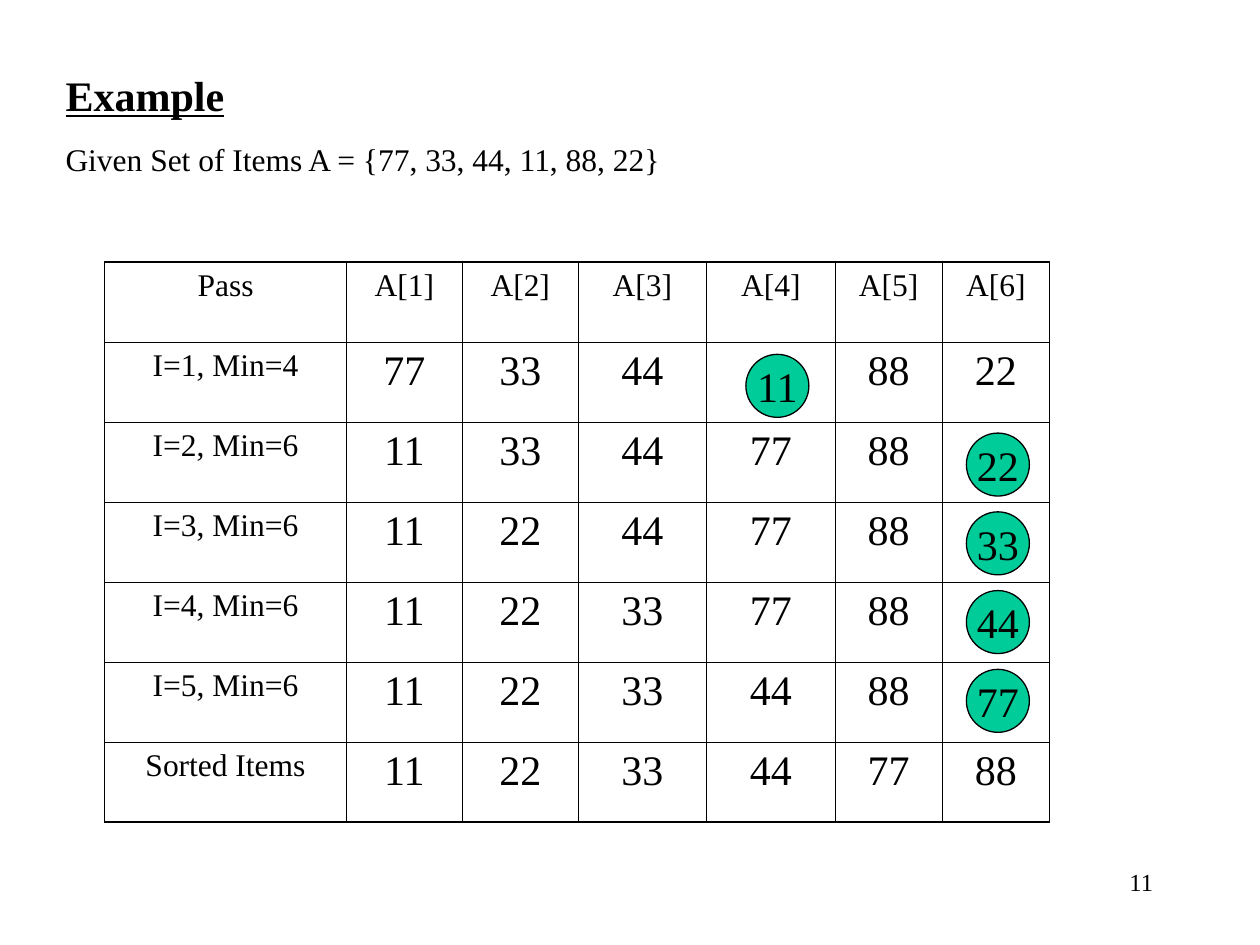
from dataclasses import dataclass

from lxml import etree
from pptx import Presentation, util as u
from pptx.dml.color import RGBColor
from pptx.enum import shapes, text
from pptx.oxml.ns import qn


@dataclass(frozen=True)
class Theme:
    font: str = "Times New Roman"
    ink: RGBColor = RGBColor(0, 0, 0)
    marker: RGBColor = RGBColor(0x00, 0xCC, 0x99)
    large: float = 24
    medium: float = 18
    small: float = 14
    inner_rule: float = 0.45
    outer_rule: float = 1.08
    marker_line: float = 0.75


@dataclass(frozen=True)
class SortPass:
    label: str
    items: tuple[int, ...]
    minimum: int | None = None  # index of the item that is circled


THEME = Theme()
WIDTH, HEIGHT = u.Inches(10), u.Inches(7.5)
HEADINGS = ["Pass"] + [f"A[{i}]" for i in range(1, 7)]
PASSES = [
    SortPass("I=1, Min=4", (77, 33, 44, 11, 88, 22), 3),
    SortPass("I=2, Min=6", (11, 33, 44, 77, 88, 22), 5),
    SortPass("I=3, Min=6", (11, 22, 44, 77, 88, 33), 5),
    SortPass("I=4, Min=6", (11, 22, 33, 77, 88, 44), 5),
    SortPass("I=5, Min=6", (11, 22, 33, 44, 88, 77), 5),
    SortPass("Sorted Items", (11, 22, 33, 44, 77, 88)),
]
COLUMN_WIDTHS = (1.92, 0.92, 0.92, 1.02, 1.02, 0.85, 0.85)
ROW_HEIGHT = 0.635
MARKER_SIZE = 0.5
MARKER_LEFT = {3: 0.592, 5: 0.767}  # share of slide width, by item index
MARKER_TOP, MARKER_STEP = 0.375, 1 / 12  # shares of slide height


def box(left: float, top: float, width: float, height: float) -> tuple[int, ...]:
    """Turn shares of the slide's size into lengths."""
    return (int(WIDTH * left), int(HEIGHT * top), int(WIDTH * width), int(HEIGHT * height))


def write(paragraph, wording: str, size: float, align=text.PP_ALIGN.CENTER,
          bold: bool = False, underline: bool = False) -> None:
    paragraph.alignment = align
    run = paragraph.add_run()
    run.text = wording
    run.font.name, run.font.size = THEME.font, u.Pt(size)
    run.font.bold, run.font.underline = bold, underline
    run.font.color.rgb = THEME.ink


def add_heading(slide) -> None:
    title = slide.shapes.title
    title.left, title.top, title.width, title.height = box(0.042, 0.067, 0.767, 0.128)
    frame = title.text_frame
    frame.auto_size = text.MSO_AUTO_SIZE.NONE
    frame.vertical_anchor = text.MSO_ANCHOR.TOP
    left = text.PP_ALIGN.LEFT
    write(frame.paragraphs[0], "Example", THEME.large, left, bold=True, underline=True)
    given = frame.add_paragraph()
    given.space_before = u.Pt(11.2)
    items = ", ".join(str(item) for item in PASSES[0].items)
    write(given, f"Given Set of Items A = {{{items}}}", THEME.medium, left)


def rule_cell(cell, outer_sides: dict[str, bool]) -> None:
    """Clear the cell's fill and draw its borders, heavier on the table's edge."""
    cell.fill.background()
    properties = cell._tc.get_or_add_tcPr()
    for position, (side, is_outer) in enumerate(outer_sides.items()):
        width = THEME.outer_rule if is_outer else THEME.inner_rule
        line = etree.Element(qn(f"a:{side}"), w=str(int(u.Pt(width))))
        fill = etree.SubElement(line, qn("a:solidFill"))
        etree.SubElement(fill, qn("a:srgbClr"), val=str(THEME.ink))
        properties.insert(position, line)


def add_pass_table(slide) -> None:
    rows = [HEADINGS] + [
        [entry.label] + ["" if i == entry.minimum else str(item)
                         for i, item in enumerate(entry.items)]
        for entry in PASSES
    ]
    last_row, last_column = len(rows) - 1, len(HEADINGS) - 1
    table = slide.shapes.add_table(
        len(rows), len(HEADINGS), u.Inches(0.83), u.Inches(2.08),
        u.Inches(sum(COLUMN_WIDTHS)), u.Inches(ROW_HEIGHT * len(rows))).table
    table.first_row = table.horz_banding = False
    for column, width in zip(table.columns, COLUMN_WIDTHS):
        column.width = u.Inches(width)
    for r, row in enumerate(rows):
        table.rows[r].height = u.Inches(ROW_HEIGHT)
        for c, wording in enumerate(row):
            cell = table.cell(r, c)
            rule_cell(cell, {"lnL": c == 0, "lnR": c == last_column,
                             "lnT": r == 0, "lnB": r == last_row})
            if wording:
                size = THEME.medium if r == 0 or c == 0 else THEME.large
                write(cell.text_frame.paragraphs[0], wording, size)


def add_minimum_marker(slide, row: int, entry: SortPass) -> None:
    left, top, _, _ = box(MARKER_LEFT[entry.minimum], MARKER_TOP + row * MARKER_STEP, 0, 0)
    size = u.Inches(MARKER_SIZE)
    marker = slide.shapes.add_shape(shapes.MSO_SHAPE.OVAL, left, top, size, size)
    marker.shadow.inherit = False
    marker.fill.solid()
    marker.fill.fore_color.rgb = THEME.marker
    marker.line.color.rgb = THEME.ink
    marker.line.width = u.Pt(THEME.marker_line)
    frame = marker.text_frame
    frame.word_wrap = False
    frame.vertical_anchor = text.MSO_ANCHOR.MIDDLE
    write(frame.paragraphs[0], str(entry.items[entry.minimum]), THEME.large)


def add_page_number(slide, number: int) -> None:
    frame = slide.shapes.add_textbox(*box(0.717, 0.911, 0.208, 0.067)).text_frame
    frame.word_wrap = True
    write(frame.paragraphs[0], str(number), THEME.small, text.PP_ALIGN.RIGHT)


def main() -> None:
    deck = Presentation()
    deck.slide_width, deck.slide_height = WIDTH, HEIGHT
    slide = deck.slides.add_slide(deck.slide_layouts.get_by_name("Title Only"))
    add_heading(slide)
    add_pass_table(slide)
    for row, entry in enumerate(PASSES):
        if entry.minimum is not None:
            add_minimum_marker(slide, row, entry)
    add_page_number(slide, 11)
    deck.save("out.pptx")


if __name__ == "__main__":
    main()
